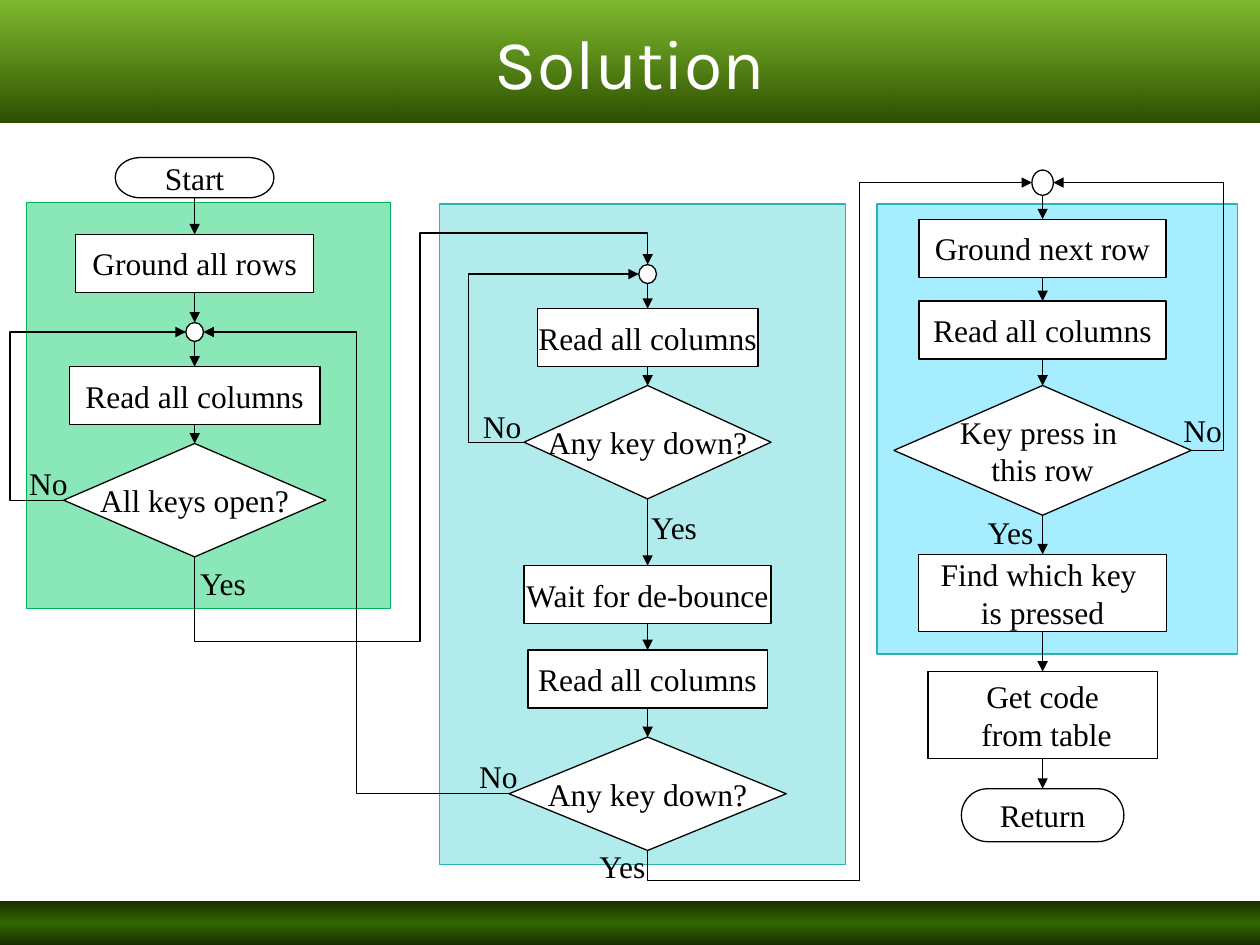
from dataclasses import dataclass
from itertools import pairwise

from lxml import etree
from pptx import Presentation
from pptx.dml.color import RGBColor
from pptx.enum.shapes import MSO_CONNECTOR, MSO_SHAPE
from pptx.enum.text import MSO_ANCHOR, PP_ALIGN
from pptx.oxml.ns import qn
from pptx.util import Inches, Pt

RECT = MSO_SHAPE.RECTANGLE
PROCESS = MSO_SHAPE.FLOWCHART_PROCESS
DECISION = MSO_SHAPE.FLOWCHART_DECISION
JOIN = MSO_SHAPE.FLOWCHART_CONNECTOR
TERMINATOR = MSO_SHAPE.FLOWCHART_TERMINATOR
STRAIGHT, ELBOW = MSO_CONNECTOR.STRAIGHT, MSO_CONNECTOR.ELBOW
LEFT, CENTER, RIGHT = PP_ALIGN.LEFT, PP_ALIGN.CENTER, PP_ALIGN.RIGHT
TOP, MIDDLE = MSO_ANCHOR.TOP, MSO_ANCHOR.MIDDLE


@dataclass(frozen=True)
class Theme:
    ink: str = "000000"
    paper: str = "FFFFFF"
    title_font: str = "Karla"
    body_font: str = "Times New Roman"
    title_size: float = 40
    body_size: float = 18
    line: float = 0.75
    title_band: tuple = ((0, "62A903", 82), (100, "2D4E01", 100))
    footer_band: tuple = ((0, "182F00", 100), (50, "336600", 100), (100, "182F00", 100))
    scan: tuple = ("13D2FF", 38, "2CB3B0")
    debounce: tuple = ("33CCCC", 38, "2CB3B0")
    release: tuple = ("00CC66", 46, "00B058")


T = Theme()
SLIDE_W, SLIDE_H = Inches(10), Inches(7.5)
COLUMNS = 100
CELL = SLIDE_W // COLUMNS
SIDES = {"t": (0, 0.5, 0), "l": (1, 0, 0.5), "b": (2, 0.5, 1), "r": (3, 1, 0.5)}

PANELS = [
    (69.6, 16.2, 28.6, 35.7, T.scan),
    (34.9, 16.2, 32.2, 52.4, T.debounce),
    (2.1, 16.1, 28.9, 32.2, T.release),
]

RELEASE_FLOW = [
    (TERMINATOR, 12.5, 12.6, 3.2, ["Start"]),
    (PROCESS, 18.6, 18.9, 4.6, ["Ground all rows"]),
    (JOIN, 25.6, 1.4, 1.5, []),
    (PROCESS, 29.1, 19.9, 4.6, ["Read all columns"]),
    (DECISION, 35.2, 20.8, 9, ["All keys open?"]),
]
DEBOUNCE_FLOW = [
    (JOIN, 21, 1.4, 1.5, []),
    (PROCESS, 24.5, 17.5, 4.6, ["Read all columns"]),
    (DECISION, 30.6, 19.6, 9, ["Any key down?"]),
    (PROCESS, 44.9, 19.6, 4.6, ["Wait for de-bounce"]),
    (PROCESS, 51.6, 19, 4.6, ["Read all columns"]),
    (DECISION, 58.5, 22, 9, ["Any key down?"]),
]
SCAN_FLOW = [
    (JOIN, 13.5, 1.7, 2, []),
    (PROCESS, 17.4, 19.6, 4.6, ["Ground next row"]),
    (PROCESS, 23.9, 19.6, 4.6, ["Read all columns"]),
    (DECISION, 30.6, 23.6, 10.3, ["Key press in ", "this row"]),
    (PROCESS, 44, 19.7, 6.1, ["Find which key ", "is pressed"]),
    (PROCESS, 53.3, 18.2, 6.9, ["Get code", " from table"]),
    (TERMINATOR, 62.6, 12.9, 4.2, ["Return"]),
]

LABELS = [
    ("No", 36, 31.8, 7.7, CENTER),
    ("Yes", 9.1, 44.3, 11.4, RIGHT),
    ("No", 36.2, 59.6, 6.7, CENTER),
    ("No", 92.1, 32.1, 6.7, CENTER),
    ("No", 0, 36.3, 7.7, CENTER),
    ("Yes", 71.6, 40.2, 11.4, RIGHT),
    ("Yes", 50.7, 39.8, 7.3, LEFT),
    ("Yes", 40.8, 66.7, 11.4, RIGHT),
]


def cells(*values):
    return [round(v * CELL) for v in values]


def write(s, lines, font, size, color, align=CENTER, anchor=MIDDLE, wrap=False):
    tf = s.text_frame
    tf.word_wrap = wrap
    tf.vertical_anchor = anchor
    for i, line in enumerate(lines):
        p = tf.add_paragraph() if i else tf.paragraphs[0]
        p.alignment = align
        r = p.add_run()
        r.text = line
        r.font.name = font
        r.font.size = Pt(size)
        r.font.color.rgb = RGBColor.from_string(color)


def add_alpha(color_element, percent):
    etree.SubElement(color_element, qn("a:alpha"), val=str(percent * 1000))


def add_box(slide, kind, x, y, w, h, fill=None, line=None):
    s = slide.shapes.add_shape(kind, *cells(x, y, w, h))
    s.shadow.inherit = False
    if fill:
        s.fill.solid()
        s.fill.fore_color.rgb = RGBColor.from_string(fill)
    if line:
        s.line.color.rgb = RGBColor.from_string(line)
        s.line.width = Pt(T.line)
    else:
        s.line.fill.background()
    return s


def add_band(slide, y, h, stops):
    s = add_box(slide, RECT, 0, y, COLUMNS, h)
    s.fill.gradient()
    s.fill.gradient_angle = 270
    stop_list = s._element.spPr.find(".//" + qn("a:gsLst"))
    for old in list(stop_list):
        stop_list.remove(old)
    for position, color, alpha in stops:
        gs = etree.SubElement(stop_list, qn("a:gs"), pos=str(position * 1000))
        add_alpha(etree.SubElement(gs, qn("a:srgbClr"), val=color), alpha)
    return s


def add_panel(slide, x, y, w, h, style):
    fill, alpha, line = style
    s = add_box(slide, RECT, x, y, w, h, fill, line)
    add_alpha(s._element.spPr.find(qn("a:solidFill"))[0], alpha)


def add_node(slide, center, kind, top, w, h, lines):
    s = add_box(slide, kind, center - w / 2, top, w, h, T.paper, T.ink)
    write(s, lines, T.body_font, T.body_size, T.ink)
    return s


def add_label(slide, text, x, y, w, align):
    s = slide.shapes.add_textbox(*cells(x, y, w, 4))
    write(s, [text], T.body_font, T.body_size, T.ink, align, TOP, True)


def edge(s, side):
    _, across, down = SIDES[side]
    return s.left + s.width * across, s.top + s.height * down


def site(s, side):
    return SIDES[side][0] * (2 if s.auto_shape_type == JOIN else 1)


def finish_arrow(c, start, start_side, end, end_side):
    c.line.color.rgb = RGBColor.from_string(T.ink)
    c.line.width = Pt(T.line)
    etree.SubElement(c.line._get_or_add_ln(), qn("a:tailEnd"), type="triangle")
    etree.SubElement(c._element.spPr, qn("a:effectLst"))
    ends = c._element.nvCxnSpPr.cNvCxnSpPr
    for cxn, s, side in ((ends.get_or_add_stCxn(), start, start_side),
                         (ends.get_or_add_endCxn(), end, end_side)):
        cxn.id, cxn.idx = s.shape_id, site(s, side)


def add_arrow(slide, start, end):
    points = [round(v) for v in (*edge(start, "b"), *edge(end, "t"))]
    c = slide.shapes.add_connector(STRAIGHT, *points)
    finish_arrow(c, start, "b", end, "t")


def add_route(slide, start, start_side, end, end_side, *bends):
    a, b = edge(start, start_side), edge(end, end_side)
    vertical = start_side in "tb"
    mx, my = (a[0] + b[0]) / 2, (a[1] + b[1]) / 2
    dx, dy = a[0] - mx, a[1] - my
    if vertical:
        dx, dy = dy, -dx
    c = slide.shapes.add_connector(
        ELBOW, *[round(v) for v in (mx + dx, my + dy, mx - dx, my - dy)])
    if vertical:
        c._element.spPr.xfrm.rot = 90
    geom = c._element.spPr.find(qn("a:prstGeom"))
    geom.set("prst", f"bentConnector{len(bends) + 2}")
    guides = geom.find(qn("a:avLst"))
    for i, bend in enumerate(bends):
        axis = (i + vertical) % 2
        share = (bend * CELL - a[axis]) / (b[axis] - a[axis])
        etree.SubElement(guides, qn("a:gd"), name=f"adj{i + 1}",
                         fmla=f"val {round(share * 100000)}")
    finish_arrow(c, start, start_side, end, end_side)


def add_flow(slide, center, rows):
    nodes = [add_node(slide, center, *row) for row in rows]
    for start, end in pairwise(nodes):
        add_arrow(slide, start, end)
    return nodes


def main():
    prs = Presentation()
    prs.slide_width, prs.slide_height = SLIDE_W, SLIDE_H
    slide = prs.slides.add_slide(prs.slide_layouts[6])
    add_band(slide, 71.5, 3.5, T.footer_band)
    for panel in PANELS:
        add_panel(slide, *panel)
    title = add_band(slide, 0, 9.7, T.title_band)
    write(title, ["Solution"], T.title_font, T.title_size, T.paper)

    _, _, release_join, _, all_open = add_flow(slide, 15.45, RELEASE_FLOW)
    press_join, _, key_down, _, _, still_down = add_flow(slide, 51.4, DEBOUNCE_FLOW)
    scan_join, _, _, row_pressed, *_ = add_flow(slide, 82.75, SCAN_FLOW)

    add_route(slide, all_open, "l", release_join, "l", 0.8)
    add_route(slide, key_down, "l", press_join, "l", 37.2)
    add_route(slide, still_down, "l", release_join, "r", 28.3)
    add_route(slide, row_pressed, "r", scan_join, "r", 97.1)
    add_route(slide, all_open, "b", press_join, "t", 50.9, 33.3, 18.5)
    add_route(slide, still_down, "b", scan_join, "l", 69.9, 68.2)
    for label in LABELS:
        add_label(slide, *label)
    prs.save("out.pptx")


if __name__ == "__main__":
    main()
